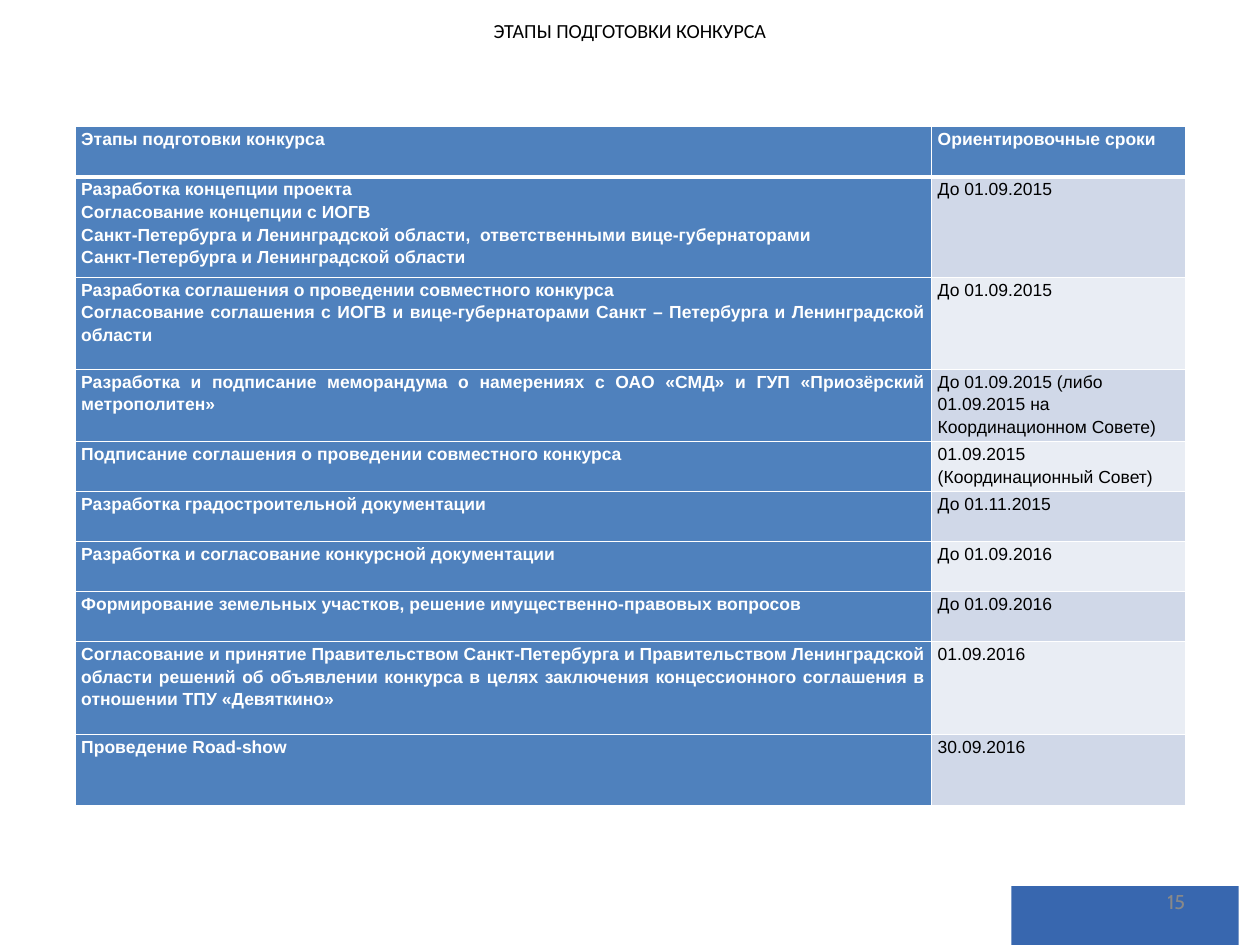
"""Build the slide with the schedule of competition preparation stages."""
from dataclasses import dataclass

from lxml.etree import SubElement
from pptx import Presentation
from pptx.dml.color import RGBColor
from pptx.enum.shapes import MSO_SHAPE
from pptx.enum.text import MSO_ANCHOR, PP_ALIGN
from pptx.oxml.ns import qn
from pptx.util import Pt


@dataclass(frozen=True)
class Theme:
    white: str = "FFFFFF"
    black: str = "000000"
    header: str = "4F81BD"
    bands: tuple = ("D0D8E8", "E9EDF4")
    footer: str = "3867AF"
    number: str = "898989"
    body_size: int = 14
    title_size: int = 16
    body_font: str = "Arial"
    title_font: str = "Calibri"
    number_font: str = "Cabin"
    spacing: float = 1.15
    thin: int = 1
    thick: int = 3


class Deck:
    def __init__(self, slide, theme):
        self.s, self.theme = slide, theme

    def apply(self, obj, values):
        for name, value in values.items():
            setattr(obj, name, value)

    def paragraph(self, p, text, color, align, **font):
        r = p.add_run()
        r.text = text
        p.alignment = align
        self.apply(r.font, font)
        r.font.color.rgb = RGBColor.from_string(color)

    def rectangle(self, box, color):
        sp = self.s.shapes.add_shape(MSO_SHAPE.RECTANGLE, *map(Pt, box))
        sp.shadow.inherit = False
        sp.fill.solid()
        sp.fill.fore_color.rgb = RGBColor.from_string(color)
        sp.line.fill.background()

    def text(self, box, text, color, align, font):
        tf = self.s.shapes.add_textbox(*map(Pt, box)).text_frame
        self.apply(tf, {
            "word_wrap": True, "vertical_anchor": MSO_ANCHOR.MIDDLE,
            "margin_left": Pt(9.4), "margin_right": Pt(9.4),
            "margin_top": Pt(5), "margin_bottom": Pt(5),
        })
        self.paragraph(tf.paragraphs[0], text, color, align,
                       name=font, size=Pt(self.theme.title_size))

    def borders(self, cell, widths):
        tc_pr = cell._tc.get_or_add_tcPr()
        for side, width in widths.items():
            ln = SubElement(tc_pr, qn(f"a:ln{side}"), w=str(Pt(width)))
            fill = SubElement(ln, qn("a:solidFill"))
            SubElement(fill, qn("a:srgbClr"), val=self.theme.white)

    def cell(self, cell, lines, row, fill, color, bold, align):
        t = self.theme
        self.apply(cell, {"margin_left": Pt(5), "margin_right": Pt(5),
                          "margin_top": 0, "margin_bottom": 0})
        self.borders(cell, {"L": t.thin, "R": t.thin,
                            "T": t.thick if row == 1 else t.thin,
                            "B": t.thick if row == 0 else t.thin})
        cell.fill.solid()
        cell.fill.fore_color.rgb = RGBColor.from_string(fill)
        tf = cell.text_frame
        for i, line in enumerate(lines.split("\n")):
            p = tf.add_paragraph() if i else tf.paragraphs[0]
            p.line_spacing = t.spacing
            self.paragraph(p, line, color, align, name=t.body_font,
                           size=Pt(t.body_size), bold=bold)

    def table(self, left, top, widths, heights, rows):
        t = self.theme
        box = (left, top, sum(widths), sum(heights))
        table = self.s.shapes.add_table(len(rows), len(widths), *map(Pt, box)).table
        for column, width in zip(table.columns, widths):
            column.width = Pt(width)
        for i, (row, height, texts) in enumerate(zip(table.rows, heights, rows)):
            row.height = Pt(height)
            for j, text in enumerate(texts):
                strong = i == 0 or j == 0
                fill = t.header if strong else t.bands[(i - 1) % 2]
                color = t.white if strong else t.black
                align = PP_ALIGN.JUSTIFY if j == 0 and i > 1 else PP_ALIGN.LEFT
                self.cell(table.cell(i, j), text, i, fill, color, strong, align)


STAGES = [
    ("Этапы подготовки конкурса", "Ориентировочные сроки"),
    ("Разработка концепции проекта\nСогласование концепции с ИОГВ\n"
     "Санкт-Петербурга и Ленинградской области,  ответственными вице-губернаторами\n"
     "Санкт-Петербурга и Ленинградской области", "До 01.09.2015"),
    ("Разработка соглашения о проведении совместного конкурса\n"
     "Согласование соглашения с ИОГВ и вице-губернаторами "
     "Санкт – Петербурга и Ленинградской области", "До 01.09.2015"),
    ("Разработка и подписание меморандума о намерениях с ОАО «СМД» "
     "и ГУП «Приозёрский метрополитен»",
     "До 01.09.2015 (либо 01.09.2015 на Координационном Совете)"),
    ("Подписание соглашения о проведении совместного конкурса",
     "01.09.2015 (Координационный Совет)"),
    ("Разработка градостроительной документации", "До 01.11.2015"),
    ("Разработка и согласование конкурсной документации", "До 01.09.2016"),
    ("Формирование земельных участков, решение имущественно-правовых вопросов",
     "До 01.09.2016"),
    ("Согласование и принятие Правительством Санкт-Петербурга и Правительством "
     "Ленинградской области решений об объявлении конкурса в целях заключения "
     "концессионного соглашения в отношении ТПУ «Девяткино»", "01.09.2016"),
    ("Проведение Road-show", "30.09.2016"),
]
HEIGHTS = [40.4, 80.4, 73.6, 56, 40, 40, 40, 40, 74, 56.8]


def main():
    prs = Presentation()
    prs.slide_width, prs.slide_height = Pt(1008), Pt(756)
    theme = Theme()
    deck = Deck(prs.slides.add_slide(prs.slide_layouts[6]), theme)
    deck.rectangle((809, 709, 182, 47), theme.footer)
    deck.text((50.4, 0, 907.2, 49), "ЭТАПЫ ПОДГОТОВКИ КОНКУРСА",
              theme.black, PP_ALIGN.CENTER, theme.title_font)
    deck.table(60, 101.2, (685.2, 203), HEIGHTS, STAGES)
    deck.text((722.4, 700.8, 235.2, 40.3), "15",
              theme.number, PP_ALIGN.RIGHT, theme.number_font)
    prs.save("out.pptx")


if __name__ == "__main__":
    main()
